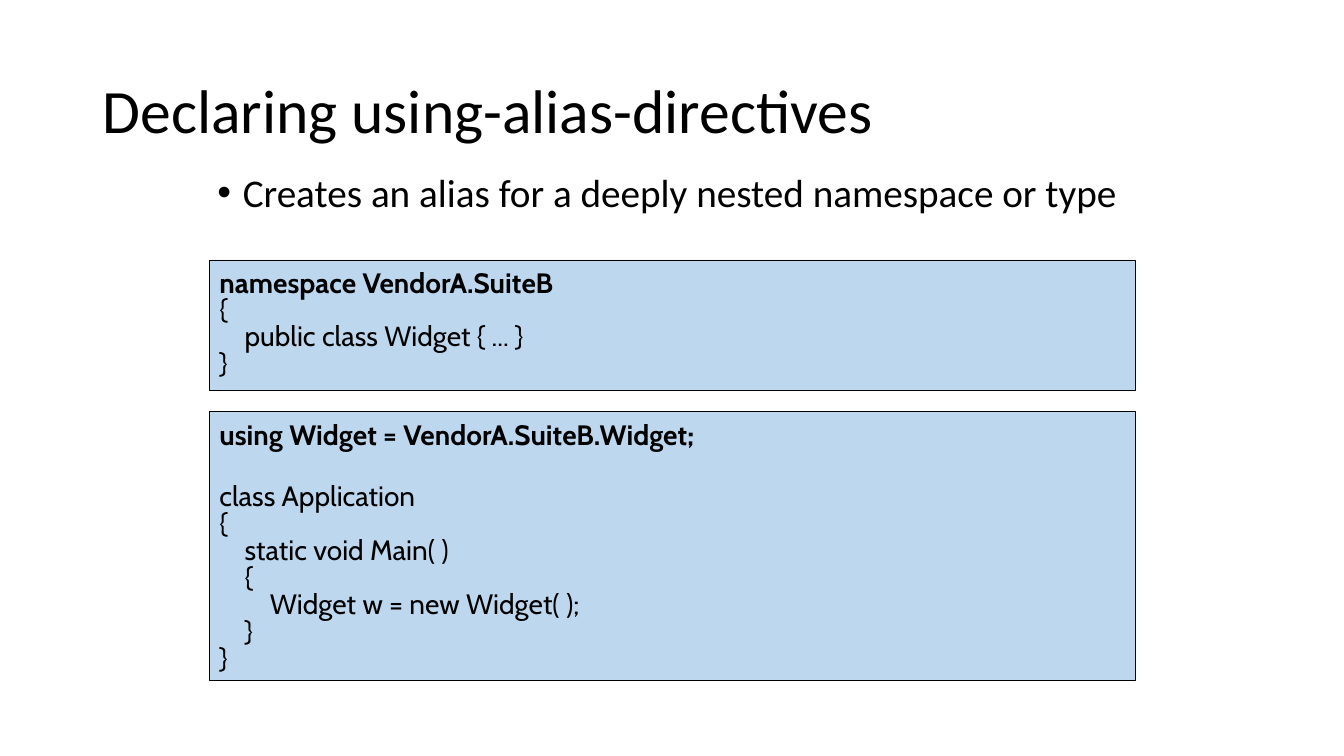
import pptx
import pptx.dml.color
import pptx.enum.shapes
import pptx.enum.text
import pptx.util
from lxml import etree
from pptx.oxml.ns import qn
from pptx.util import Cm


def color(value):
    return pptx.dml.color.RGBColor.from_string(value)


class Deck:
    """Draws titles, bullets and code boxes in one style on the current slide."""

    ink = "000000"
    panel = "BDD7EE"
    title_font = {"name": "Calibri", "size": pptx.util.Pt(44)}
    bullet_font = {"name": "Calibri", "size": pptx.util.Pt(28)}
    code_font = {"name": "Cabin", "size": pptx.util.Pt(20)}

    def __init__(self, width, height):
        self.prs = pptx.Presentation()
        self.prs.slide_width, self.prs.slide_height = Cm(width), Cm(height)
        self.s = self.prs.slides.add_slide(self.prs.slide_layouts[6])

    def add_text(self, p, text, font, bold=False, **spacing):
        for name, value in spacing.items():
            setattr(p, name, value)
        r = p.add_run()
        r.text = text
        for name, value in {**font, "bold": bold}.items():
            setattr(r.font, name, value)
        r.font.color.rgb = color(self.ink)

    def frame(self, sp, anchor):
        tf = sp.text_frame
        tf.word_wrap = True
        tf.vertical_anchor = anchor
        return tf

    def title(self, box, text):
        sp = self.s.shapes.add_textbox(*map(Cm, box))
        tf = self.frame(sp, pptx.enum.text.MSO_ANCHOR.MIDDLE)
        self.add_text(tf.paragraphs[0], text, self.title_font, line_spacing=0.9)

    def bullet(self, box, text):
        sp = self.s.shapes.add_textbox(*map(Cm, box))
        p = self.frame(sp, pptx.enum.text.MSO_ANCHOR.TOP).paragraphs[0]
        pPr = p._p.get_or_add_pPr()
        indent = Cm(0.64)
        pPr.set("marL", str(indent))
        pPr.set("indent", str(-indent))
        etree.SubElement(pPr, qn("a:buFont"), typeface="Arial")
        etree.SubElement(pPr, qn("a:buChar"), char="•")
        self.add_text(p, text, self.bullet_font, line_spacing=0.9)

    def code(self, box, lines, heading):
        sp = self.s.shapes.add_shape(
            pptx.enum.shapes.MSO_SHAPE.RECTANGLE, *map(Cm, box))
        sp.shadow.inherit = False
        sp.fill.solid()
        sp.fill.fore_color.rgb = color(self.panel)
        sp.line.color.rgb = color(self.ink)
        sp.line.width = pptx.util.Pt(0.5)
        tf = self.frame(sp, pptx.enum.text.MSO_ANCHOR.MIDDLE)
        for i, line in enumerate(lines.strip().splitlines()):
            p = tf.paragraphs[0] if i == 0 else tf.add_paragraph()
            p.alignment = pptx.enum.text.PP_ALIGN.LEFT
            spacing = heading if i == 0 else {"line_spacing": 0.8}
            self.add_text(p, line, self.code_font, bold=i == 0, **spacing)


NAMESPACE_CODE = """
namespace VendorA.SuiteB
{
    public class Widget { ... }
}
"""

ALIAS_CODE = """
using Widget = VendorA.SuiteB.Widget;
class Application
{
    static void Main( )
    {
        Widget w = new Widget( );
    }
}
"""


def main():
    deck = Deck(33.87, 19.05)
    deck.title((2.34, 1.02, 29.21, 3.68), "Declaring using-alias-directives")
    deck.bullet((5.23, 4.24, 23.22, 1.93),
                "Creates an alias for a deeply nested namespace or type")
    deck.code((5.28, 10.36, 23.34, 6.78), ALIAS_CODE,
              {"line_spacing": 1.0, "space_after": pptx.util.Pt(24)})
    deck.code((5.28, 6.55, 23.34, 3.3), NAMESPACE_CODE, {"line_spacing": 0.8})
    deck.prs.save("out.pptx")


if __name__ == "__main__":
    main()
